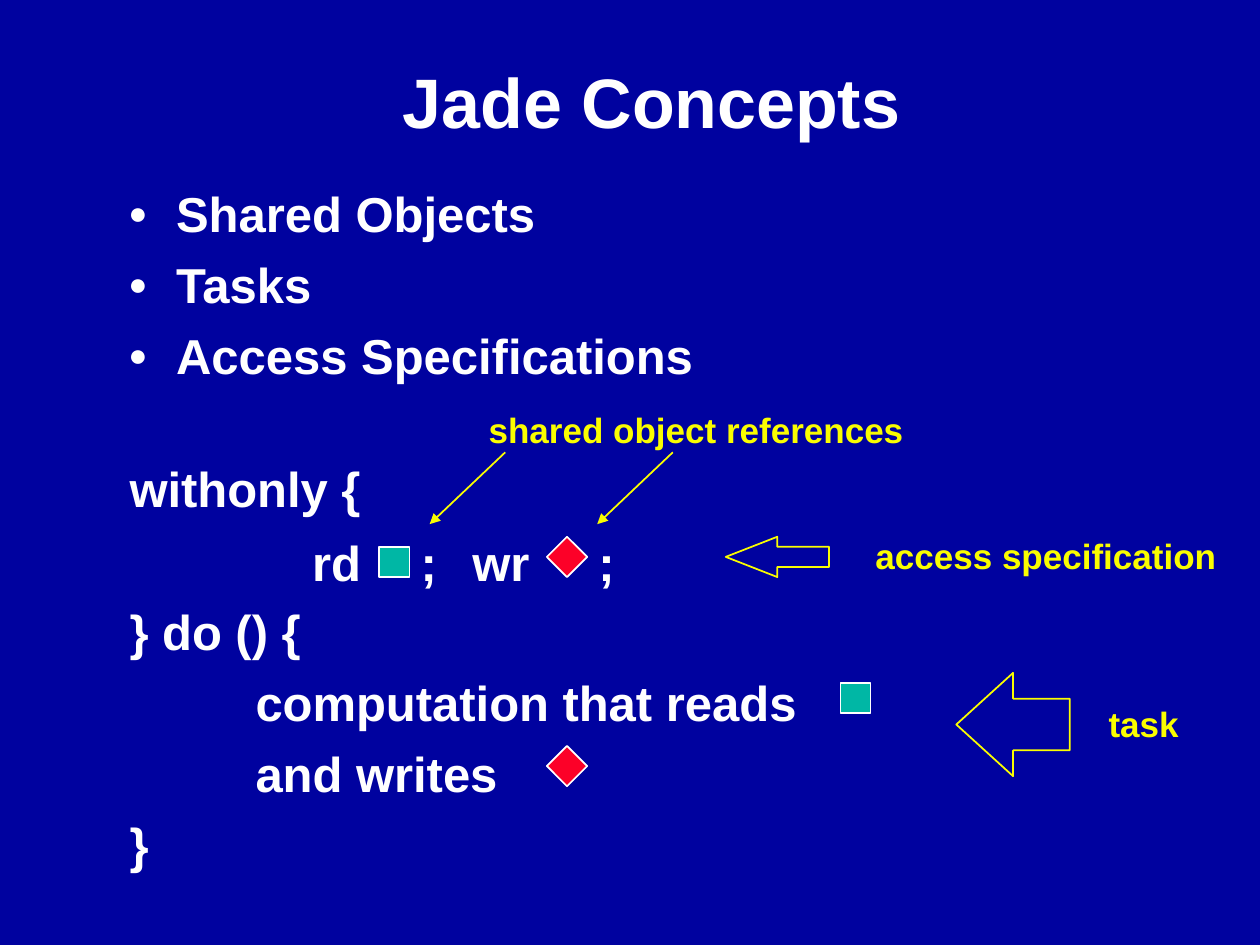
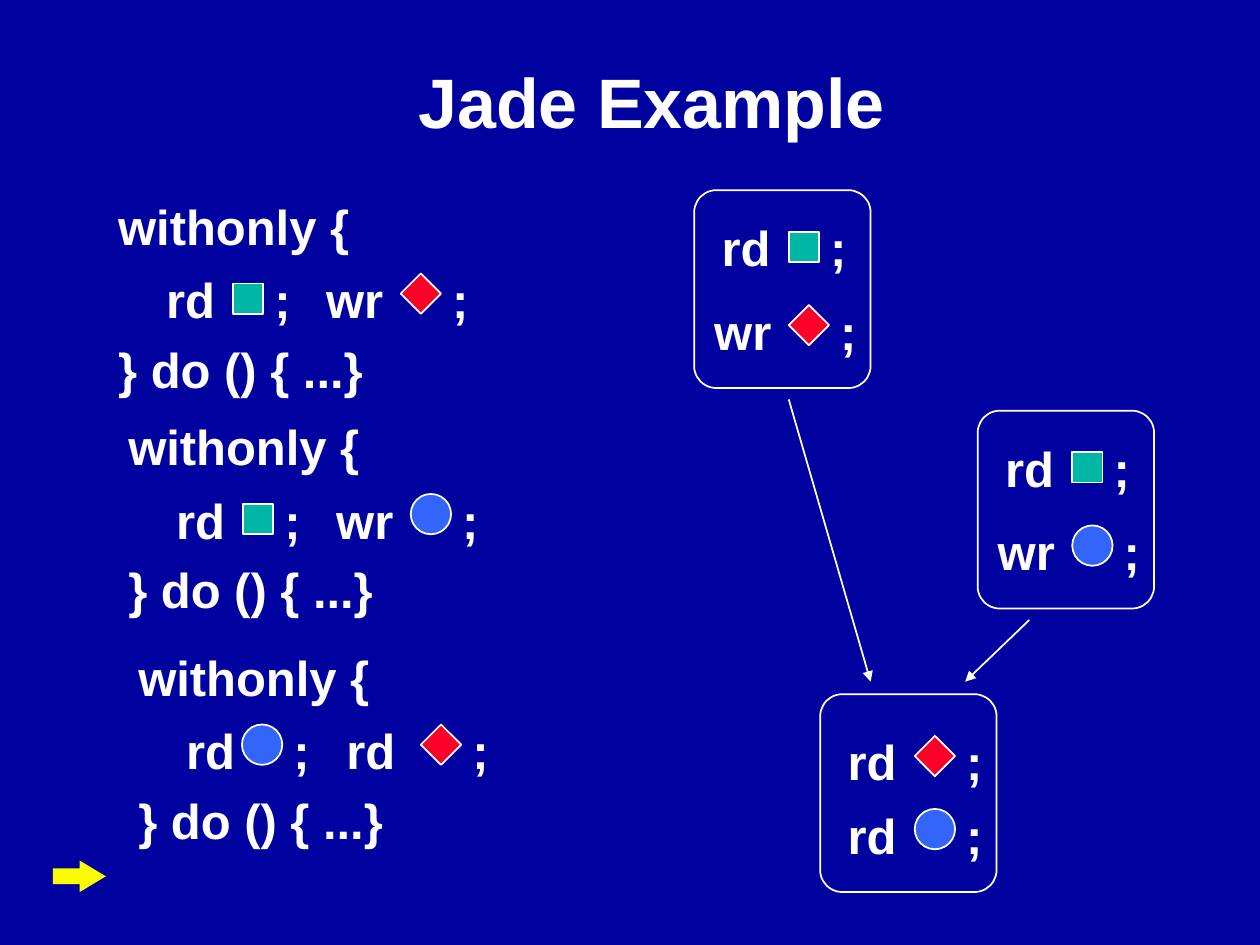
from lxml.etree import SubElement
from pptx import Presentation
from pptx.dml.color import RGBColor
from pptx.enum.shapes import MSO_CONNECTOR, MSO_SHAPE
from pptx.enum.text import MSO_ANCHOR, PP_ALIGN
from pptx.oxml.ns import qn
from pptx.util import Inches, Pt

NAVY, WHITE, YELLOW = "00029F", "FFFFFF", "FAFD00"
FONT = "Arial"
CODE_SIZE, LABEL_SIZE = 28, 20
LINE_GAP = 7
SKIPPED_LINE_GAP = 48  # leaves one code line free for rd / wr statements

# Shared objects: shape, fill, side, drop below the top of the statement
SQUARE = (MSO_SHAPE.RECTANGLE, "00B7A5", 0.24, 0.16)
DIAMOND = (MSO_SHAPE.DIAMOND, "FC0128", 0.32, 0.08)
CIRCLE = (MSO_SHAPE.OVAL, "3365FB", 0.32, 0.08)
VERB_WIDTH = {"rd": 0.63, "wr": 0.69}


def rgb(color):
    return RGBColor.from_string(color)


class Deck:
    def __init__(self):
        self.prs = Presentation()
        self.prs.slide_width, self.prs.slide_height = Inches(10), Inches(7.5)
        background = self.prs.slide_master.background.fill
        background.solid()
        background.fore_color.rgb = rgb(NAVY)
        self.slide = None

    def style(self, paragraph, size, color=WHITE):
        font = paragraph.font
        font.name, font.size, font.bold = FONT, Pt(size), True
        font.color.rgb = rgb(color)

    def start(self, title):
        """Add a slide with its title."""
        self.slide = self.prs.slides.add_slide(self.prs.slide_layouts[5])
        heading = self.slide.shapes.title
        heading.left, heading.top = Inches(0.92), Inches(0.17)
        heading.width, heading.height = Inches(8.5), Inches(1.25)
        heading.fill.solid()
        heading.fill.fore_color.rgb = rgb(NAVY)
        heading.text_frame.text = title
        heading.text_frame.vertical_anchor = MSO_ANCHOR.MIDDLE
        paragraph = heading.text_frame.paragraphs[0]
        paragraph.alignment = PP_ALIGN.CENTER
        self.style(paragraph, 40)

    def text(self, lines, left, top, width, height=0.56, size=CODE_SIZE,
             color=WHITE, bulleted=False):
        box = self.slide.shapes.add_textbox(
            Inches(left), Inches(top), Inches(width), Inches(height))
        frame = box.text_frame
        frame.word_wrap = True
        for number, line in enumerate(lines):
            paragraph = frame.add_paragraph() if number else frame.paragraphs[0]
            paragraph.text = line
            if number:
                paragraph.space_before = Pt(LINE_GAP)
            if bulleted:
                self.bullet(paragraph)
            if line.startswith("\t"):
                self.tab_stop(paragraph)
            self.style(paragraph, size, color)
        return frame

    def bullet(self, paragraph):
        properties = paragraph._p.get_or_add_pPr()
        properties.set("marL", str(Inches(0.38)))
        properties.set("indent", str(-Inches(0.38)))
        color = SubElement(properties, qn("a:buClr"))
        SubElement(color, qn("a:srgbClr"), val=WHITE)
        SubElement(properties, qn("a:buSzPct"), val="65000")
        SubElement(properties, qn("a:buFont"), typeface=FONT)
        SubElement(properties, qn("a:buChar"), char="●")

    def tab_stop(self, paragraph):
        stops = SubElement(paragraph._p.get_or_add_pPr(), qn("a:tabLst"))
        SubElement(stops, qn("a:tab"), pos=str(Inches(1)), algn="l")

    def label(self, wording, left, top, width):
        self.text([wording], left, top, width, 0.43, LABEL_SIZE, YELLOW)

    def shape(self, kind, left, top, width, height, fill=None, line=WHITE,
              adjustments=()):
        shape = self.slide.shapes.add_shape(
            kind, Inches(left), Inches(top), Inches(width), Inches(height))
        shape.shadow.inherit = False
        for number, value in enumerate(adjustments):
            shape.adjustments[number] = value
        if fill:
            shape.fill.solid()
            shape.fill.fore_color.rgb = rgb(fill)
        else:
            shape.fill.background()
        if line:
            shape.line.color.rgb = rgb(line)
            shape.line.width = Pt(1)
        else:
            shape.line.fill.background()

    def shared_object(self, kind, left, statement_top):
        preset, fill, side, drop = kind
        self.shape(preset, left, statement_top + drop, side, side, fill)

    def statement(self, verb, kind, left, top, object_offset=None):
        """Write a verb, its shared object and a semicolon on one line."""
        object_left = left + (object_offset or VERB_WIDTH[verb])
        self.text([verb], left, top, VERB_WIDTH[verb] + 0.1)
        self.shared_object(kind, object_left, top)
        self.text([";"], object_left + kind[2] - 0.01, top, 0.4)

    def code(self, lines, left, top, width, height):
        """Write code whose second line is left free for statements."""
        frame = self.text(lines, left, top, width, height)
        frame.paragraphs[1].space_before = Pt(SKIPPED_LINE_GAP)

    def arrow(self, start, end, color):
        line = self.slide.shapes.add_connector(
            MSO_CONNECTOR.STRAIGHT, *(Inches(value) for value in start + end))
        line.line.color.rgb = rgb(color)
        line.line.width = Pt(1)
        SubElement(line.line._get_or_add_ln(), qn("a:tailEnd"), type="triangle")
        SubElement(line._element.spPr, qn("a:effectLst"))


def add_concepts(deck):
    deck.start("Jade Concepts")
    deck.text(["Shared Objects", "Tasks", "Access Specifications"],
              0.92, 1.41, 8.5, 1.8, bulleted=True)
    deck.code(["withonly {", "} do () {", "\tcomputation that reads",
               "\tand writes", "}"], 0.93, 3.59, 5.7, 3.39)
    deck.statement("rd", SQUARE, 2.38, 4.18)
    deck.statement("wr", DIAMOND, 3.65, 4.18)
    deck.shared_object(SQUARE, 6.67, 5.26)
    deck.shared_object(DIAMOND, 4.34, 5.84)

    deck.label("shared object references", 3.78, 3.19, 3.7)
    for reference_left in (3.41, 4.74):
        deck.arrow((reference_left + 0.6, 3.59), (reference_left, 4.16), YELLOW)
    deck.shape(MSO_SHAPE.LEFT_ARROW, 5.76, 4.26, 0.82, 0.32, line=YELLOW,
               adjustments=(0.5, 1.28))
    deck.label("access specification", 6.85, 4.19, 3.1)
    deck.shape(MSO_SHAPE.LEFT_ARROW, 7.59, 5.34, 0.9, 0.82, line=YELLOW,
               adjustments=(0.5, 0.55))
    deck.label("task", 8.7, 5.53, 0.9)


def add_example(deck):
    deck.start("Jade Example")
    # left, top, then (verb, shared object, object offset) twice
    code_blocks = [
        (0.84, 1.51, ("rd", SQUARE, 0.63), ("wr", DIAMOND, 0.69)),
        (0.92, 3.26, ("rd", SQUARE, 0.63), ("wr", CIRCLE, 0.69)),
        (1.00, 5.09, ("rd", CIRCLE, 0.54), ("rd", DIAMOND, 0.69)),
    ]
    for left, top, *accesses in code_blocks:
        deck.code(["withonly {", "} do () { ...}"], left, top, 2.4, 1.69)
        for column, (verb, kind, offset) in enumerate(accesses):
            deck.statement(verb, kind, left + 0.38 + 1.27 * column,
                           top + 0.58, offset)

    # left, top, then (verb, shared object, indent, drop) twice
    tasks = [
        (5.51, 1.51, ("rd", SQUARE, 0.12, 0.17), ("wr", DIAMOND, 0.06, 0.83)),
        (7.76, 3.26, ("rd", SQUARE, 0.12, 0.17), ("wr", CIRCLE, 0.06, 0.83)),
        (6.51, 5.51, ("rd", DIAMOND, 0.12, 0.25), ("rd", CIRCLE, 0.12, 0.83)),
    ]
    for left, top, *accesses in tasks:
        deck.shape(MSO_SHAPE.ROUNDED_RECTANGLE, left, top, 1.4, 1.57,
                   adjustments=(0.125,))
        for verb, kind, indent, drop in accesses:
            deck.statement(verb, kind, left + indent, top + drop)
    deck.arrow((6.26, 3.17), (6.91, 5.41), WHITE)
    deck.arrow((8.17, 4.92), (7.66, 5.41), WHITE)
    deck.shape(MSO_SHAPE.RIGHT_ARROW, 0.42, 6.83, 0.42, 0.25, YELLOW, None,
               (0.5, 0.83))


def main():
    deck = Deck()
    add_concepts(deck)
    add_example(deck)
    deck.prs.save("out.pptx")


if __name__ == "__main__":
    main()
